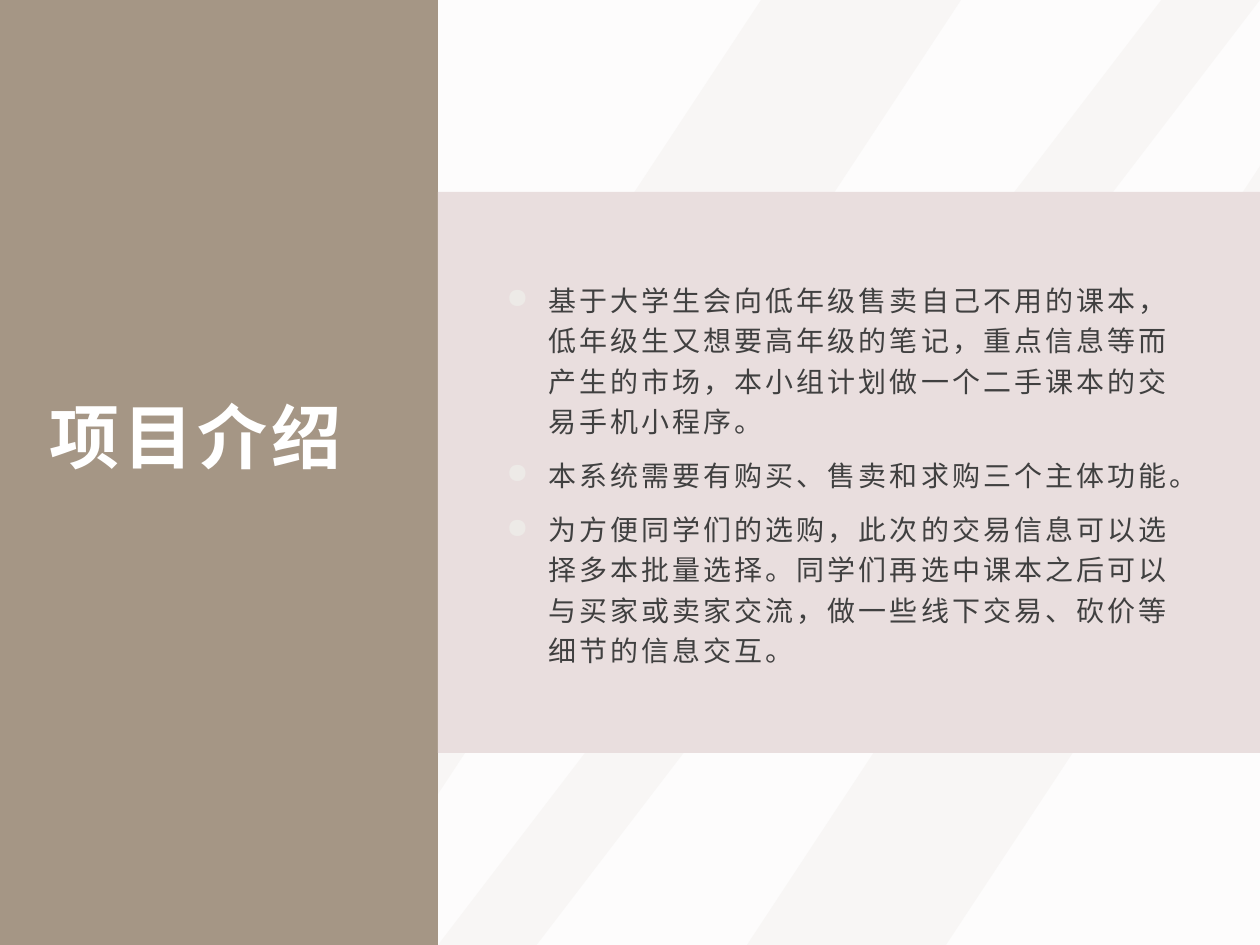
from dataclasses import dataclass

from lxml.etree import SubElement
from pptx import Presentation
from pptx.dml.color import RGBColor
from pptx.enum.shapes import MSO_SHAPE
from pptx.enum.text import MSO_ANCHOR
from pptx.oxml.ns import qn
from pptx.util import Emu, Pt

EMU_PER_PX = 914400 / 126
PAGE_WIDTH, PAGE_HEIGHT = 1260, 945
SIDEBAR_WIDTH = 438
CONTENT_WIDTH = PAGE_WIDTH - SIDEBAR_WIDTH


@dataclass(frozen=True)
class Theme:
    font: str = "Noto Sans CJK SC"
    background: str = "FDFCFC"
    sidebar: str = "A59685"
    stripe: str = "EDEAE7"
    panel: str = "E9DEDE"
    title: str = "FFFFFF"
    body: str = "404040"
    title_size: int = 40
    body_size: int = 16


def px(length):
    return Emu(round(length * EMU_PER_PX))


class SlideBuilder:
    def __init__(self, page, theme):
        self.page = page
        self.theme = theme
        fill = page.background.fill
        fill.solid()
        fill.fore_color.rgb = RGBColor.from_string(theme.background)

    def paint(self, shape, color, opacity=100):
        shape.shadow.inherit = False
        shape.line.fill.background()
        shape.fill.solid()
        shape.fill.fore_color.rgb = RGBColor.from_string(color)
        if opacity < 100:
            color_node = shape.fill._xPr.find(f".//{qn('a:srgbClr')}")
            SubElement(color_node, qn("a:alpha"), val=str(opacity * 1000))

    def preset(self, kind, left, top, width, height, color, opacity=100):
        shape = self.page.shapes.add_shape(
            kind, px(left), px(top), px(width), px(height))
        self.paint(shape, color, opacity)
        return shape

    def stripe(self, points):
        outline = self.page.shapes.build_freeform(*points[0], scale=EMU_PER_PX)
        outline.add_line_segments(points[1:], close=True)
        self.paint(outline.convert_to_shape(), self.theme.stripe, 30)

    def text_box(self, left, top, width, height, anchor):
        box = self.page.shapes.add_textbox(
            px(left), px(top), px(width), px(height))
        box.text_frame.word_wrap = True
        box.text_frame.vertical_anchor = anchor
        return box.text_frame

    def format_runs(self, para, size, color, spacing, bold=False):
        for span in para.runs:
            span.font.size = Pt(size)
            span.font.bold = bold
            span.font.color.rgb = RGBColor.from_string(color)
            span.font.name = self.theme.font
            properties = span._r.get_or_add_rPr()
            properties.set("spc", str(spacing))
            SubElement(properties, qn("a:ea"), typeface=self.theme.font)

    def title(self, text, left, top, width, height):
        frame = self.text_box(left, top, width, height, MSO_ANCHOR.BOTTOM)
        frame.text = text
        self.format_runs(frame.paragraphs[0], self.theme.title_size,
                         self.theme.title, 240, bold=True)

    def bullets(self, texts, left, top, width, height, indent):
        frame = self.text_box(left, top, width, height, MSO_ANCHOR.MIDDLE)
        frame.text = "\n".join(texts)
        for para in frame.paragraphs:
            properties = para._p.get_or_add_pPr()
            properties.set("marL", str(px(indent)))
            properties.set("indent", str(-px(indent)))
            bullet_color = SubElement(properties, qn("a:buClr"))
            SubElement(bullet_color, qn("a:srgbClr"), val=self.theme.stripe)
            SubElement(properties, qn("a:buChar"), char="●")
            para.line_spacing = Pt(23)
            para.space_after = Pt(8)
            self.format_runs(para, self.theme.body_size, self.theme.body, 180)


def main():
    deck = Presentation()
    deck.slide_width, deck.slide_height = px(PAGE_WIDTH), px(PAGE_HEIGHT)
    theme = Theme()
    builder = SlideBuilder(deck.slides.add_slide(deck.slide_layouts[6]), theme)

    # Sidebar
    builder.preset(MSO_SHAPE.RECTANGLE, 0, 0, SIDEBAR_WIDTH, PAGE_HEIGHT,
                   theme.sidebar)

    # Diagonal background stripes
    builder.stripe([(761, 0), (961, 0), (SIDEBAR_WIDTH, 794),
                    (SIDEBAR_WIDTH, 490)])
    builder.stripe([(PAGE_WIDTH, 166), (PAGE_WIDTH, 469),
                    (946, PAGE_HEIGHT), (747, PAGE_HEIGHT)])
    diagonal = builder.preset(MSO_SHAPE.PARALLELOGRAM, SIDEBAR_WIDTH, 0,
                              CONTENT_WIDTH, PAGE_HEIGHT, theme.stripe, 30)
    diagonal.adjustments[0] = 0.88

    # Content panel
    builder.preset(MSO_SHAPE.RECTANGLE, SIDEBAR_WIDTH, 192, CONTENT_WIDTH, 561,
                   theme.panel)
    builder.bullets([
        "基于大学生会向低年级售卖自己不用的课本，低年级生又想要高年级的笔记，"
        "重点信息等而产生的市场，本小组计划做一个二手课本的交易手机小程序。",
        "本系统需要有购买、售卖和求购三个主体功能。",
        "为方便同学们的选购，此次的交易信息可以选择多本批量选择。"
        "同学们再选中课本之后可以与买家或卖家交流，"
        "做一些线下交易、砍价等细节的信息交互。",
    ], 494, 234, 714, 476, indent=42)

    # Title
    builder.title("项目介绍", 37, 266, 364, 218)

    deck.save("out.pptx")


if __name__ == "__main__":
    main()
